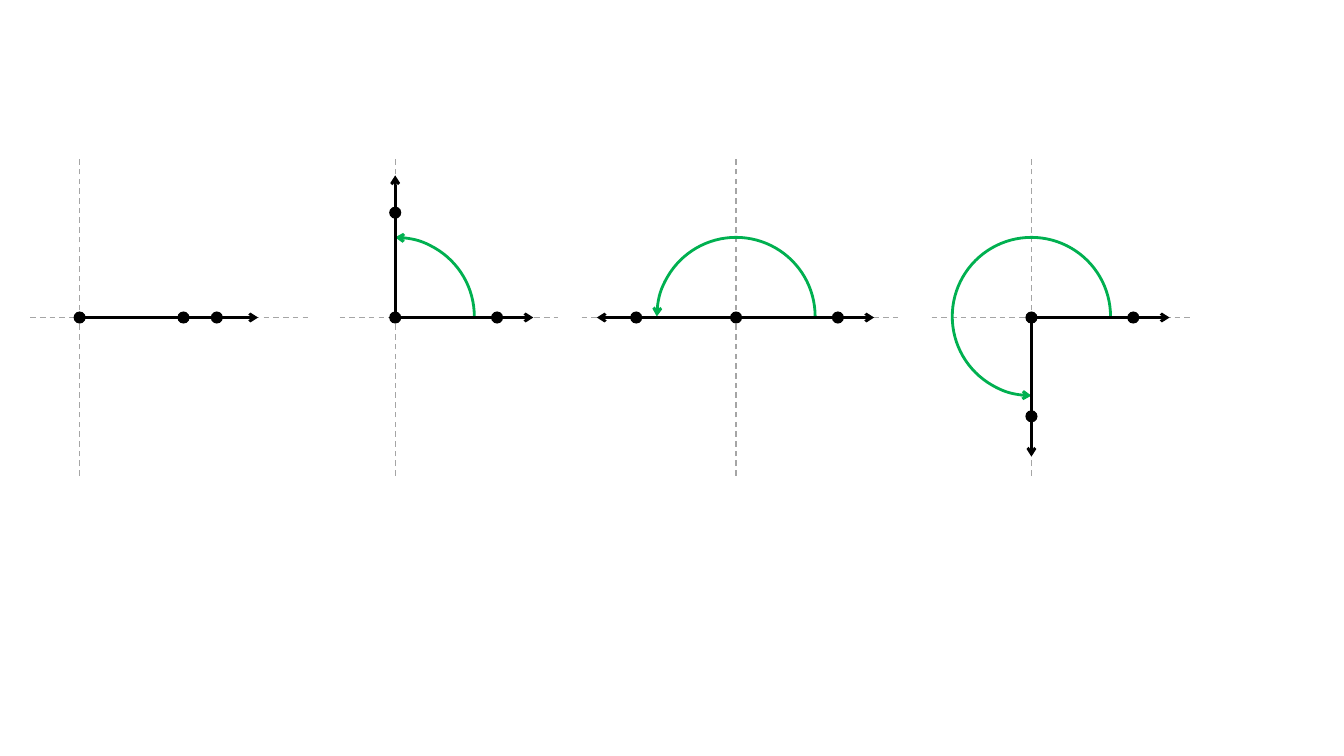
from dataclasses import dataclass
from math import cos, radians, sin

from lxml import etree
from pptx import Presentation
from pptx import util as u
from pptx.dml.color import RGBColor
from pptx.enum import dml, shapes
from pptx.oxml import ns


@dataclass(frozen=True)
class Theme:
    axis: RGBColor = RGBColor(0xA5, 0xA5, 0xA5)
    ray: RGBColor = RGBColor(0, 0, 0)
    arc: RGBColor = RGBColor(0x00, 0xB0, 0x50)
    axis_width: float = 1
    bold_width: float = 2


@dataclass(frozen=True)
class Ray:
    degrees: int
    length: float
    dots: tuple[float, ...]  # distances from the vertex


@dataclass(frozen=True)
class Angle:
    vertex_x: float
    axis_left: float
    axis_right: float
    rays: tuple[Ray, ...]  # initial side, then terminal side


THEME = Theme()
VERTEX_Y = 3.15
AXIS_TOP, AXIS_BOTTOM = 1.57, 4.72
DOT_SIZE = 0.12
ARC_SIZE = 1.57
ARC_CENTER_Y = 3.14
ADJ_PER_DEGREE = 0.6  # 60000 angle units, in steps of 100000

INITIAL = Ray(0, 1.37, (1.01,))
ANGLES = (
    Angle(0.79, 0.3, 3.07, (Ray(0, 1.77, (1.03, 1.36)),)),
    Angle(3.92, 3.37, 5.53, (INITIAL, Ray(90, 1.41, (1.04,)))),
    Angle(7.3, 5.77, 8.92, (INITIAL, Ray(180, 1.38, (0.99,)))),
    Angle(10.23, 9.24, 11.8, (INITIAL, Ray(270, 1.38, (0.98,)))),
)


def add_arrowhead(sp, end: str) -> None:
    ln = sp._element.spPr.find(ns.qn("a:ln"))
    etree.SubElement(ln, ns.qn(f"a:{end}"), type="arrow")


def add_line(s, x1: float, y1: float, x2: float, y2: float,
             color: RGBColor, width: float, dashed: bool = False):
    sp = s.shapes.add_connector(
        shapes.MSO_CONNECTOR.STRAIGHT,
        u.Inches(x1), u.Inches(y1), u.Inches(x2), u.Inches(y2))
    sp.line.color.rgb = color
    sp.line.width = u.Pt(width)
    if dashed:
        sp.line.dash_style = dml.MSO_LINE.DASH
    etree.SubElement(sp._element.spPr, ns.qn("a:effectLst"))
    return sp


def add_round(s, kind, x: float, y: float, size: float):
    """Add a square-framed shape centred on x, y."""
    sp = s.shapes.add_shape(
        kind, u.Inches(x - size / 2), u.Inches(y - size / 2),
        u.Inches(size), u.Inches(size))
    sp.shadow.inherit = False
    return sp


def add_dot(s, x: float, y: float) -> None:
    sp = add_round(s, shapes.MSO_SHAPE.OVAL, x, y, DOT_SIZE)
    sp.fill.solid()
    sp.fill.fore_color.rgb = THEME.ray
    sp.line.fill.background()


def add_ray(s, x: float, ray: Ray) -> None:
    dx, dy = cos(radians(ray.degrees)), -sin(radians(ray.degrees))
    sp = add_line(s, x, VERTEX_Y, x + ray.length * dx,
                  VERTEX_Y + ray.length * dy, THEME.ray, THEME.bold_width)
    add_arrowhead(sp, "tailEnd")
    for distance in ray.dots:
        add_dot(s, x + distance * dx, VERTEX_Y + distance * dy)


def add_arc(s, x: float, degrees: int) -> None:
    sp = add_round(s, shapes.MSO_SHAPE.ARC, x, ARC_CENTER_Y, ARC_SIZE)
    sp.adjustments[0] = (360 - degrees) * ADJ_PER_DEGREE
    sp.adjustments[1] = 0
    sp.fill.background()
    sp.line.color.rgb = THEME.arc
    sp.line.width = u.Pt(THEME.bold_width)
    add_arrowhead(sp, "headEnd")


def add_angle(s, angle: Angle) -> None:
    x = angle.vertex_x
    # Dashed axes
    add_line(s, angle.axis_left, VERTEX_Y, angle.axis_right, VERTEX_Y,
             THEME.axis, THEME.axis_width, dashed=True)
    add_line(s, x, AXIS_BOTTOM, x, AXIS_TOP,
             THEME.axis, THEME.axis_width, dashed=True)
    # Rotation from the initial to the terminal side
    terminal = angle.rays[-1]
    if terminal.degrees:
        add_arc(s, x, terminal.degrees)
    # Sides and vertex
    for ray in angle.rays:
        add_ray(s, x, ray)
    add_dot(s, x, VERTEX_Y)


def main() -> None:
    prs = Presentation()
    prs.slide_width, prs.slide_height = u.Inches(13.33), u.Inches(7.5)
    s = prs.slides.add_slide(prs.slide_layouts[6])
    for angle in ANGLES:
        add_angle(s, angle)
    prs.save("out.pptx")


if __name__ == "__main__":
    main()
